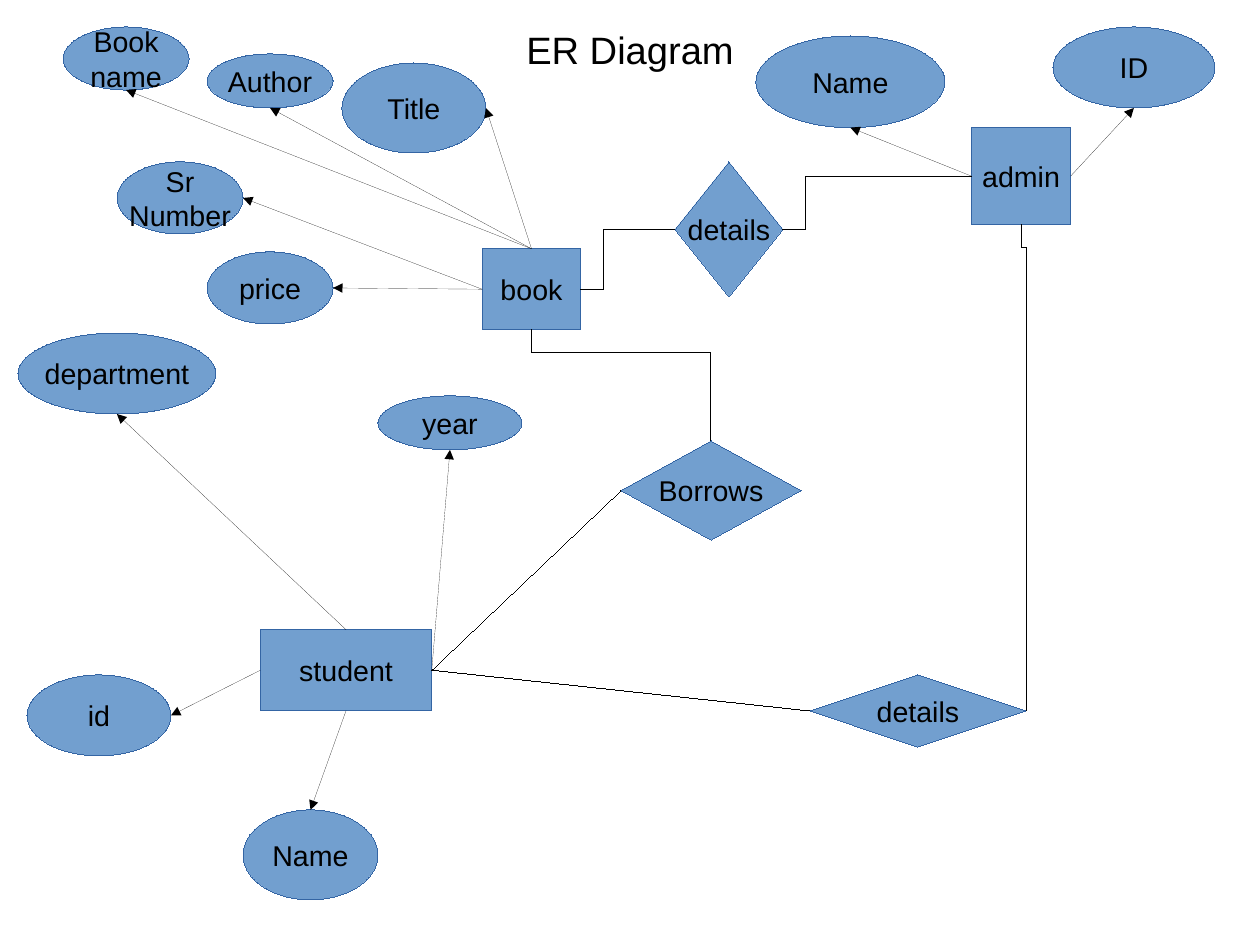
"""Build the library ER diagram slide."""
from dataclasses import dataclass

from lxml import etree
from pptx import Presentation
from pptx.dml.color import RGBColor
from pptx.enum import shapes, text
from pptx.oxml import ns
from pptx.util import Pt

COLORS = {"fill": "729FCF", "edge": "3465A4", "ink": "000000"}
FONT = "Arial"
STUB = 14.17
RECT = shapes.MSO_SHAPE.RECTANGLE
OVAL = shapes.MSO_SHAPE.OVAL
DIAMOND = shapes.MSO_SHAPE.DIAMOND
SITES = {"top": (0, 0.5, 0), "left": (1, 0, 0.5), "bottom": (2, 0.5, 1), "right": (3, 1, 0.5)}


@dataclass
class Node:
    key: str
    label: str
    kind: shapes.MSO_SHAPE
    x: float
    y: float
    w: float
    h: float

    def site(self, side: str) -> tuple[float, float]:
        _, fx, fy = SITES[side]
        return self.x + self.w * fx, self.y + self.h * fy


@dataclass
class Link:
    start: str
    start_side: str
    end: str
    end_side: str
    arrow: bool = False
    elbow: bool = False


NODES = [
    Node("book", "book", RECT, 303.7, 156.7, 62.2, 51),
    Node("admin", "admin", RECT, 612, 80.4, 62.4, 61.2),
    Node("student", "student", RECT, 164, 396.7, 108, 51),
    Node("book name", "Book\nname", OVAL, 39.7, 17, 79.4, 39.7),
    Node("author", "Author", OVAL, 130.4, 34, 79.4, 34),
    Node("number", "Sr\nNumber", OVAL, 73.7, 102, 79.4, 45.4),
    Node("title", "Title", OVAL, 215.4, 39.7, 90.7, 56.7),
    Node("price", "price", OVAL, 130.4, 158.7, 79.4, 45.4),
    Node("admin name", "Name", OVAL, 476.2, 22.7, 119, 57.7),
    Node("admin id", "ID", OVAL, 663.3, 17, 102, 51),
    Node("student name", "Name", OVAL, 153.1, 510.2, 85, 56.7),
    Node("student id", "id", OVAL, 17, 425.2, 90.7, 51),
    Node("department", "department", OVAL, 11.3, 209.8, 124.7, 51),
    Node("year", "year", OVAL, 238.1, 249.4, 90.7, 34),
    Node("borrows", "Borrows", DIAMOND, 391.2, 277.8, 113.4, 62.4),
    Node("student details", "details", DIAMOND, 510.2, 425.2, 136.1, 45.4),
    Node("book details", "details", DIAMOND, 425.2, 102, 68, 85),
]

LINKS = [
    Link("book", "top", "book name", "bottom", arrow=True),
    Link("book", "top", "author", "bottom", arrow=True),
    Link("book", "top", "title", "right", arrow=True),
    Link("book", "left", "number", "right", arrow=True),
    Link("book", "left", "price", "right", arrow=True),
    Link("admin", "left", "admin name", "bottom", arrow=True),
    Link("admin", "right", "admin id", "bottom", arrow=True),
    Link("student", "bottom", "student name", "top", arrow=True),
    Link("student", "top", "department", "bottom", arrow=True),
    Link("student", "right", "year", "bottom", arrow=True),
    Link("student", "left", "student id", "right", arrow=True),
    Link("book", "bottom", "borrows", "top", elbow=True),
    Link("admin", "bottom", "student details", "right", elbow=True),
    Link("book", "right", "book details", "left", elbow=True),
    Link("book details", "right", "admin", "left", elbow=True),
    Link("student", "right", "student details", "left"),
    Link("student", "right", "borrows", "left"),
]


def rgb(name: str) -> RGBColor:
    return RGBColor.from_string(COLORS[name])


def hairline(line, color: str):
    line.color.rgb = rgb(color)
    ln = line._get_or_add_ln()
    ln.set("w", "0")
    return ln


def write(tf, label: str, size: float) -> None:
    tf.vertical_anchor = text.MSO_ANCHOR.MIDDLE
    for i, line in enumerate(label.split("\n")):
        p = tf.add_paragraph() if i else tf.paragraphs[0]
        p.alignment = text.PP_ALIGN.CENTER
        r = p.add_run()
        r.text = line
        r.font.name = FONT
        r.font.size = Pt(size)
        r.font.color.rgb = rgb("ink")


def draw_title(s) -> None:
    sp = s.shapes.title
    sp.left, sp.top, sp.width, sp.height = Pt(39.7), Pt(0), Pt(714.3), Pt(62.4)
    tf = sp.text_frame
    tf.auto_size = text.MSO_AUTO_SIZE.NONE
    tf.margin_left = tf.margin_right = tf.margin_top = tf.margin_bottom = Pt(0)
    write(tf, "ER Diagram", 24)


def draw_node(s, n: Node):
    sp = s.shapes.add_shape(n.kind, Pt(n.x), Pt(n.y), Pt(n.w), Pt(n.h))
    sp.shadow.inherit = False
    sp.fill.solid()
    sp.fill.fore_color.rgb = rgb("fill")
    hairline(sp.line, "edge")
    sp.text_frame.word_wrap = False
    write(sp.text_frame, n.label, 18)
    return sp


def bend(cn, link: Link, dx: float, dy: float) -> None:
    upright = link.start_side == "bottom"
    run = dy if upright else dx
    spPr = cn._element.spPr
    if upright:
        mid_x, mid_y = cn.left + cn.width // 2, cn.top + cn.height // 2
        cn.width, cn.height = cn.height, cn.width
        cn.left, cn.top = mid_x - cn.width // 2, mid_y - cn.height // 2
        xfrm = spPr.find(ns.qn("a:xfrm"))
        xfrm.set("rot", "16200000")
        xfrm.set("flipH", "1")
    guides = spPr.find(ns.qn("a:prstGeom")).find(ns.qn("a:avLst"))
    ratio = round(STUB / run * 100000)
    etree.SubElement(guides, ns.qn("a:gd"), name="adj1", fmla=f"val {ratio}")


def draw_link(s, link: Link, nodes: dict[str, Node], drawn: dict) -> None:
    x1, y1 = nodes[link.start].site(link.start_side)
    x2, y2 = nodes[link.end].site(link.end_side)
    kind = shapes.MSO_CONNECTOR.ELBOW if link.elbow else shapes.MSO_CONNECTOR.STRAIGHT
    cn = s.shapes.add_connector(kind, Pt(x1), Pt(y1), Pt(x2), Pt(y2))
    ln = hairline(cn.line, "ink")
    if link.elbow:
        bend(cn, link, x2 - x1, y2 - y1)
    else:
        cn.begin_connect(drawn[link.start], SITES[link.start_side][0])
        if nodes[link.end].kind != OVAL:
            cn.end_connect(drawn[link.end], SITES[link.end_side][0])
    if link.arrow:
        etree.SubElement(ln, ns.qn("a:tailEnd"), type="triangle")
    etree.SubElement(cn._element.spPr, ns.qn("a:effectLst"))


def main() -> None:
    prs = Presentation()
    prs.slide_width, prs.slide_height = Pt(793.7), Pt(595.3)
    s = prs.slides.add_slide(prs.slide_layouts[5])
    draw_title(s)
    nodes = {n.key: n for n in NODES}
    drawn = {n.key: draw_node(s, n) for n in NODES}
    for link in LINKS:
        draw_link(s, link, nodes, drawn)
    prs.save("out.pptx")


if __name__ == "__main__":
    main()
